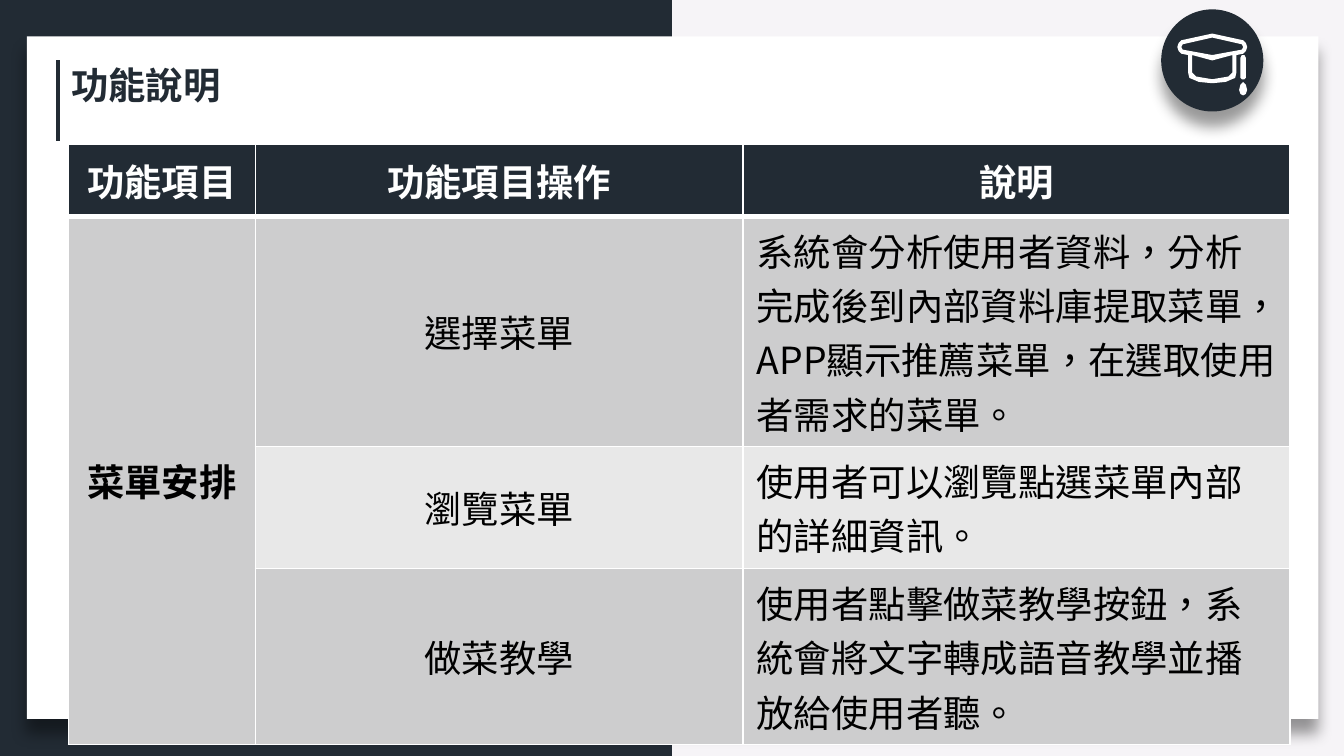
"""Build the feature description slide with its menu planning table."""
import pptx
import pptx.dml.color
import pptx.enum.shapes
import pptx.enum.text
import pptx.oxml
import pptx.oxml.ns
import pptx.util

Inches = pptx.util.Inches
Pt = pptx.util.Pt
RGBColor = pptx.dml.color.RGBColor
MSO_SHAPE = pptx.enum.shapes.MSO_SHAPE
PP_ALIGN = pptx.enum.text.PP_ALIGN
MSO_ANCHOR = pptx.enum.text.MSO_ANCHOR

NAVY = RGBColor(0x22, 0x2B, 0x34)
PALE = RGBColor(0xF6, 0xF4, 0xF7)
WHITE = RGBColor(0xFF, 0xFF, 0xFF)
BLACK = RGBColor(0, 0, 0)
BANDS = [RGBColor(0xCD, 0xCD, 0xCE), RGBColor(0xE8, 0xE8, 0xE8)]
CALIBRI = "Calibri"
NOTO = "Noto Sans CJK SC"

SLIDE_WIDTH = Inches(10)
SLIDE_HEIGHT = SLIDE_WIDTH * 9 // 16

TITLE = "功能說明"
HEADER = ["功能項目", "功能項目操作", "說明"]
CATEGORY = "菜單安排"
FEATURES = [
    ("選擇菜單", "系統會分析使用者資料，分析完成後到內部資料庫提取菜單，APP顯示推薦菜單，在選取使用者需求的菜單。"),
    ("瀏覽菜單", "使用者可以瀏覽點選菜單內部的詳細資訊。"),
    ("做菜教學", "使用者點擊做菜教學按鈕，系統會將文字轉成語音教學並播放給使用者聽。"),
]
COL_WIDTHS = [1.39, 3.63, 4.07]
ROW_HEIGHT = 0.54

CAP_HALVES = [
    [(0, 0.25), (0.23, 0.3), (0.25, 0.32), (0.26, 0.35), (0.25, 0.38), (0.23, 0.4), (0.18, 0.41),
     (0.18, 0.54), (0.17, 0.58), (0.1, 0.61), (0, 0.62)],
    [(0, 0.28), (0.22, 0.33), (0.23, 0.35), (0.22, 0.37), (0, 0.41)],
    [(0, 0.45), (0.15, 0.41), (0.15, 0.54), (0.12, 0.57), (0.06, 0.58), (0, 0.59)],
]
CORD_HALF = [(0, 0.41), (0.01, 0.41), (0.02, 0.43), (0.02, 0.58), (0.01, 0.59), (0, 0.59)]
DROP_HALF = [(0, 0.61), (0.02, 0.63), (0.03, 0.67), (0.02, 0.7), (0, 0.71)]
ICON_PARTS = [(9.02, CAP_HALVES), (9.25, [CORD_HALF]), (9.25, [DROP_HALF])]

NS = pptx.oxml.ns.nsdecls("a")
SHADOW = (f'<a:effectLst {NS}><a:outerShdw blurRad="{Pt(8)}" dist="{Pt(8)}" dir="5400000" '
          'algn="t" rotWithShape="0"><a:srgbClr val="000000"><a:alpha val="40000"/></a:srgbClr>'
          '</a:outerShdw></a:effectLst>')


def paint(sp, color):
    sp.fill.solid()
    sp.fill.fore_color.rgb = color
    sp.line.fill.background()
    sp.shadow.inherit = False


def add_block(s, kind, box, color, shadow=False):
    sp = s.shapes.add_shape(kind, *box)
    paint(sp, color)
    if shadow:
        sp.shadow.inherit = True
        sp._element.spPr.append(pptx.oxml.parse_xml(SHADOW))


def add_symmetric(s, center, halves):
    contours = []
    for half in halves:
        right = [(Inches(center + x), Inches(y)) for x, y in half]
        left = [(Inches(center - x), Inches(y)) for x, y in reversed(half)]
        contours.append(right + left)
    builder = s.shapes.build_freeform(*contours[0][0])
    for i, points in enumerate(contours):
        if i:
            builder.move_to(*points[0])
        builder.add_line_segments(points[1:], close=True)
    paint(builder.convert_to_shape(), WHITE)


def set_text(tf, text, font, color, bold, align):
    tf.text = text
    p = tf.paragraphs[0]
    p.alignment = align
    r = p.runs[0]
    r.font.size = Pt(20)
    r.font.name = font
    r.font.bold = bold
    r.font.color.rgb = color
    rpr = r._r.get_or_add_rPr()
    rpr.set("lang", "zh-TW")
    rpr.append(pptx.oxml.parse_xml(f'<a:ea {NS} typeface="{NOTO}"/>'))


def format_cell(cell, fill, bottom=1):
    tcpr = cell._tc.get_or_add_tcPr()
    for side, width in zip("LRTB", (1, 1, 1, bottom)):
        tcpr.append(pptx.oxml.parse_xml(
            f'<a:ln{side} {NS} w="{Pt(width)}"><a:solidFill><a:srgbClr val="{WHITE}"/>'
            f'</a:solidFill></a:ln{side}>'))
    cell.fill.solid()
    cell.fill.fore_color.rgb = fill
    cell.vertical_anchor = MSO_ANCHOR.MIDDLE


def add_features(s):
    rows = len(FEATURES) + 1
    table = s.shapes.add_table(rows, len(HEADER), Inches(0.51), Inches(1.07),
                               Inches(sum(COL_WIDTHS)), Inches(ROW_HEIGHT * rows)).table
    for col, width in zip(table.columns, COL_WIDTHS):
        col.width = Inches(width)
    for row in table.rows:
        row.height = Inches(ROW_HEIGHT)
    for c, text in enumerate(HEADER):
        cell = table.cell(0, c)
        format_cell(cell, NAVY, bottom=3)
        set_text(cell.text_frame, text, CALIBRI, WHITE, True, PP_ALIGN.CENTER)
    for i, (name, description) in enumerate(FEATURES):
        cells = [table.cell(i + 1, c) for c in range(len(HEADER))]
        for c, cell in enumerate(cells):
            format_cell(cell, BANDS[i % 2 if c else 0])
        set_text(cells[1].text_frame, name, CALIBRI, BLACK, False, PP_ALIGN.CENTER)
        set_text(cells[2].text_frame, description, NOTO, BLACK, False, PP_ALIGN.LEFT)
    category = table.cell(1, 0)
    category.merge(table.cell(rows - 1, 0))
    set_text(category.text_frame, CATEGORY, CALIBRI, BLACK, True, PP_ALIGN.CENTER)


def add_title(s):
    title = s.shapes.title
    title.left, title.top, title.width, title.height = map(Inches, (0.43, 0.41, 1.32, 0.44))
    tf = title.text_frame
    set_text(tf, TITLE, NOTO, NAVY, True, PP_ALIGN.LEFT)
    tf.word_wrap = False
    tf.auto_size = pptx.enum.text.MSO_AUTO_SIZE.SHAPE_TO_FIT_TEXT
    tf.vertical_anchor = MSO_ANCHOR.TOP
    s.shapes._spTree.append(title._element)


def main():
    prs = pptx.Presentation()
    prs.slide_width, prs.slide_height = SLIDE_WIDTH, SLIDE_HEIGHT
    s = prs.slides.add_slide(prs.slide_layouts[5])
    s.background.fill.solid()
    s.background.fill.fore_color.rgb = PALE
    add_block(s, MSO_SHAPE.RECTANGLE, (0, 0, SLIDE_WIDTH // 2, SLIDE_HEIGHT), NAVY)
    add_block(s, MSO_SHAPE.RECTANGLE, map(Inches, (0.2, 0.27, 9.61, 5.08)), WHITE, shadow=True)
    rule = s.shapes.add_connector(pptx.enum.shapes.MSO_CONNECTOR.STRAIGHT,
                                  *map(Inches, (0.43, 0.45, 0.43, 1.05)))
    rule.line.color.rgb = NAVY
    rule.line.width = Pt(2.25)
    rule._element.spPr.append(pptx.oxml.parse_xml(f"<a:effectLst {NS}/>"))
    add_block(s, MSO_SHAPE.OVAL, map(Inches, (8.64, 0.07, 0.76, 0.76)), NAVY, shadow=True)
    for center, halves in ICON_PARTS:
        add_symmetric(s, center, halves)
    add_features(s)
    add_title(s)
    prs.save("out.pptx")


if __name__ == "__main__":
    main()
